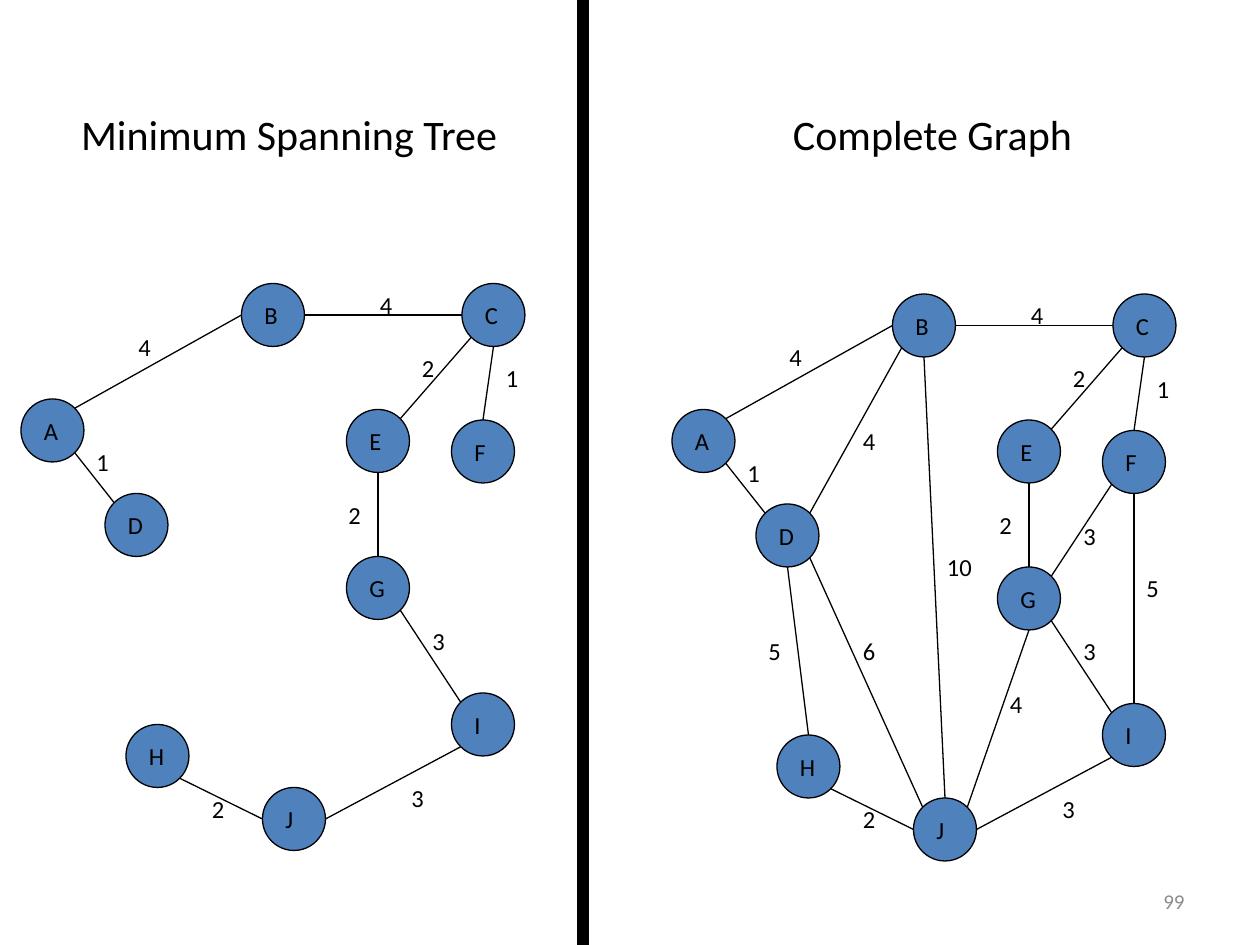
"""Build a slide with a minimum spanning tree beside its complete graph."""
from math import cos, radians, sin
from lxml import etree
from pptx import Presentation
from pptx import util as u
from pptx.dml.color import RGBColor
from pptx.enum import shapes, text
from pptx.oxml.ns import qn

FONT = "Calibri"
HUES = {"node": "4F81BD", "ink": "000000", "page": "8C8C8C"}
UNIT = 1 / 12
SIZE = 6
SITES = {"E": 0, "SE": 45, "S": 90, "SW": 135, "W": 180, "NW": 225, "N": 270, "NE": 315}
NODES = {
    "A": (2, 38), "B": (23, 27), "C": (44, 27), "D": (10, 47), "E": (33, 39),
    "F": (43, 40), "G": (33, 53), "H": (12, 69), "I": (43, 66), "J": (25, 75),
}
WIDTHS = {"A": 0.34, "B": 0.33, "C": 0.33, "D": 0.34, "E": 0.32, "F": 0.31,
          "G": 0.34, "H": 0.34, "I": 0.27, "J": 0.28, "10": 0.4}
TREE = [
    ("A", "NE", "B", "W", "4", (12, 31)),
    ("B", "E", "C", "W", "4", (35, 27)),
    ("C", "SW", "E", "NE", "2", (39, 33)),
    ("C", "S", "F", "N", "1", (47, 34)),
    ("A", "SE", "D", "NW", "1", (8, 42)),
    ("E", "S", "G", "N", "2", (32, 47)),
    ("G", "SE", "I", "NW", "3", (40, 59)),
    ("I", "SW", "J", "E", "3", (38, 74)),
    ("H", "SE", "J", "W", "2", (19, 75)),
]
EXTRA = [
    ("B", "SW", "D", "NE", "4", (19, 39)),
    ("B", "S", "J", "N", "10", (27, 51)),
    ("D", "S", "H", "N", "5", (10, 59)),
    ("D", "SE", "J", "NW", "6", (19, 59)),
    ("F", "SW", "G", "NE", "3", (40, 48)),
    ("F", "S", "I", "N", "5", (46, 53)),
    ("G", "S", "J", "NE", "4", (33, 64)),
]
GRAPHS = [((0, 0), TREE), ((62, 1), TREE + EXTRA)]
TITLES = [("Minimum Spanning Tree", 0.38, 3.83), ("Complete Graph", 5.94, 2.92)]


def hue(name):
    return RGBColor.from_string(HUES[name])


def draw_line(line):
    line.color.rgb = hue("ink")
    line.width = u.Pt(0.75)


def add_form(slide, kind, box, fill):
    form = slide.shapes.add_shape(kind, *map(u.Inches, box))
    form.shadow.inherit = False
    form.fill.solid()
    form.fill.fore_color.rgb = hue(fill)
    draw_line(form.line)


def add_text(slide, words, box, size=14, align="LEFT", color="ink", wrap=True):
    frame = slide.shapes.add_textbox(*map(u.Inches, box)).text_frame
    frame.word_wrap = wrap
    para = frame.paragraphs[0]
    para.text = words
    para.alignment = getattr(text.PP_ALIGN, align)
    para.font.name = FONT
    para.font.size = u.Pt(size)
    para.font.color.rgb = hue(color)
    return frame


def add_label(slide, words, spot):
    box = (*spot, WIDTHS.get(words, 0.3), 0.33)
    frame = add_text(slide, words, box, wrap=False)
    frame.auto_size = text.MSO_AUTO_SIZE.SHAPE_TO_FIT_TEXT


def add_edge(slide, start, end):
    edge = slide.shapes.add_connector(
        shapes.MSO_CONNECTOR.STRAIGHT, *map(u.Inches, start + end))
    draw_line(edge.line)
    etree.SubElement(edge.element.spPr, qn("a:effectLst"))


def add_graph(slide, shift, edges):
    def place(spot, move=0):
        return tuple((a + b + move) * UNIT for a, b in zip(spot, shift))

    def site(node, side):
        x, y = place(NODES[node], SIZE / 2)
        turn, reach = radians(SITES[side]), SIZE * UNIT / 2
        return x + reach * cos(turn), y + reach * sin(turn)

    for spot in NODES.values():
        box = (*place(spot), SIZE * UNIT, SIZE * UNIT)
        add_form(slide, shapes.MSO_SHAPE.OVAL, box, "node")
    for first, out, last, into, cost, spot in edges:
        add_edge(slide, site(first, out), site(last, into))
        add_label(slide, cost, place(spot))
    for name, spot in NODES.items():
        add_label(slide, name, place(spot, 1))


def main():
    deck = Presentation()
    deck.slide_width, deck.slide_height = u.Inches(10), u.Inches(7.5)
    slide = deck.slides.add_slide(deck.slide_layouts[6])
    add_form(slide, shapes.MSO_SHAPE.RECTANGLE, (55 * UNIT, 0, UNIT, 7.5), "ink")
    for shift, edges in GRAPHS:
        add_graph(slide, shift, edges)
    for words, left, width in TITLES:
        add_text(slide, words, (left, 0.81, width, 0.5), 24, "CENTER")
    page = add_text(slide, "99", (7.17, 6.95, 2.33, 0.4), 12, "RIGHT", "page")
    page.vertical_anchor = text.MSO_ANCHOR.MIDDLE
    deck.save("out.pptx")


if __name__ == "__main__":
    main()
